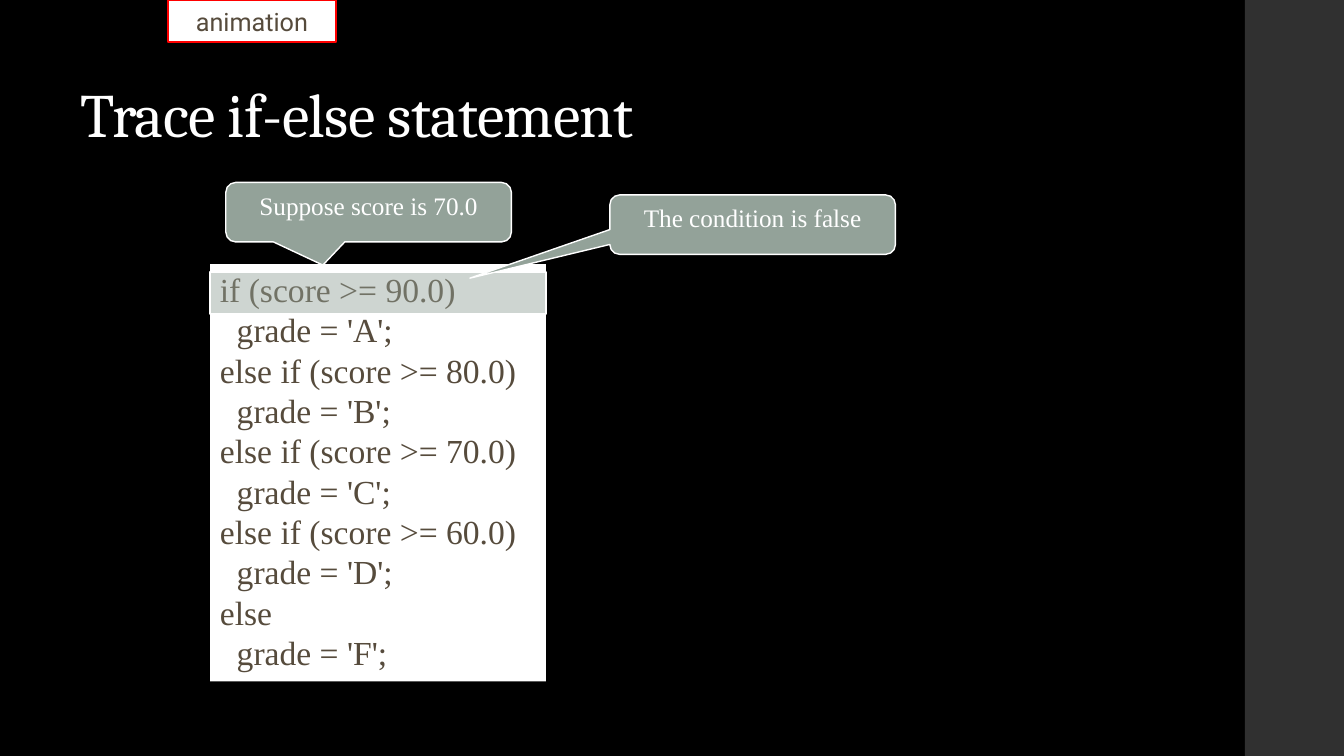
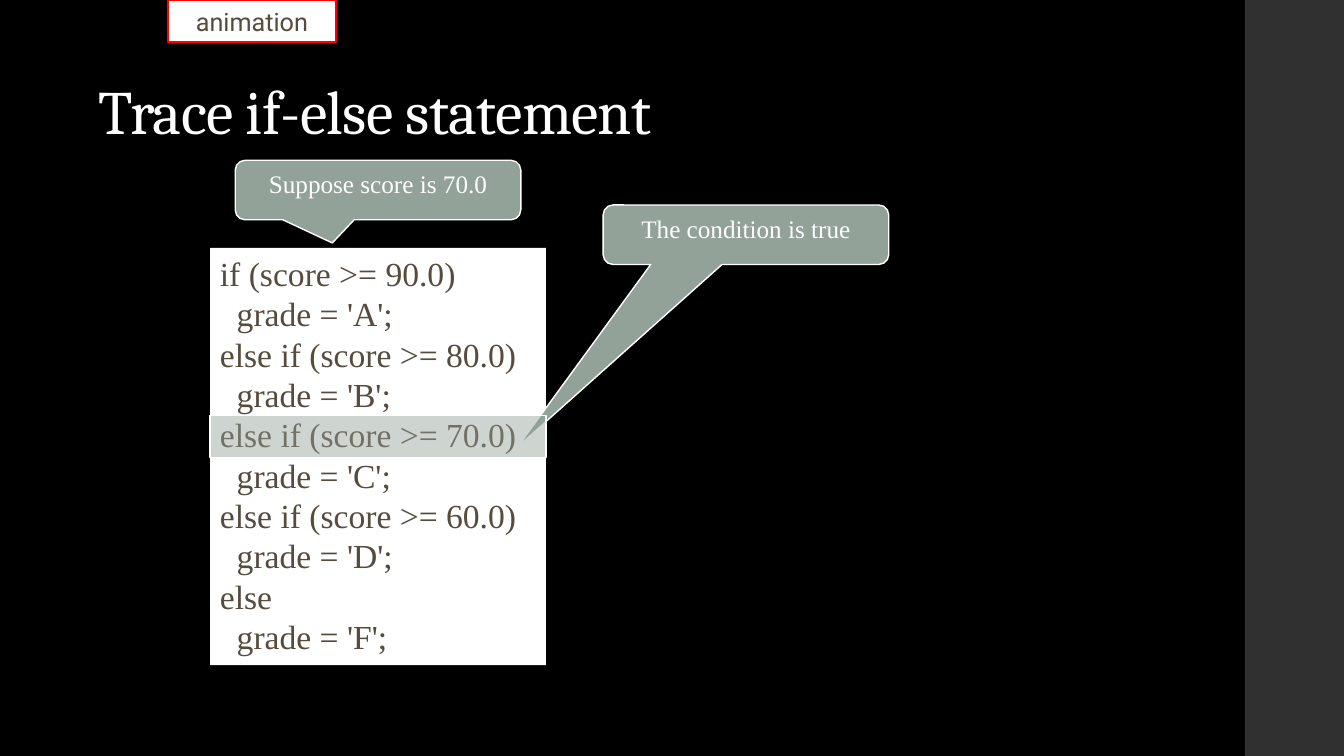
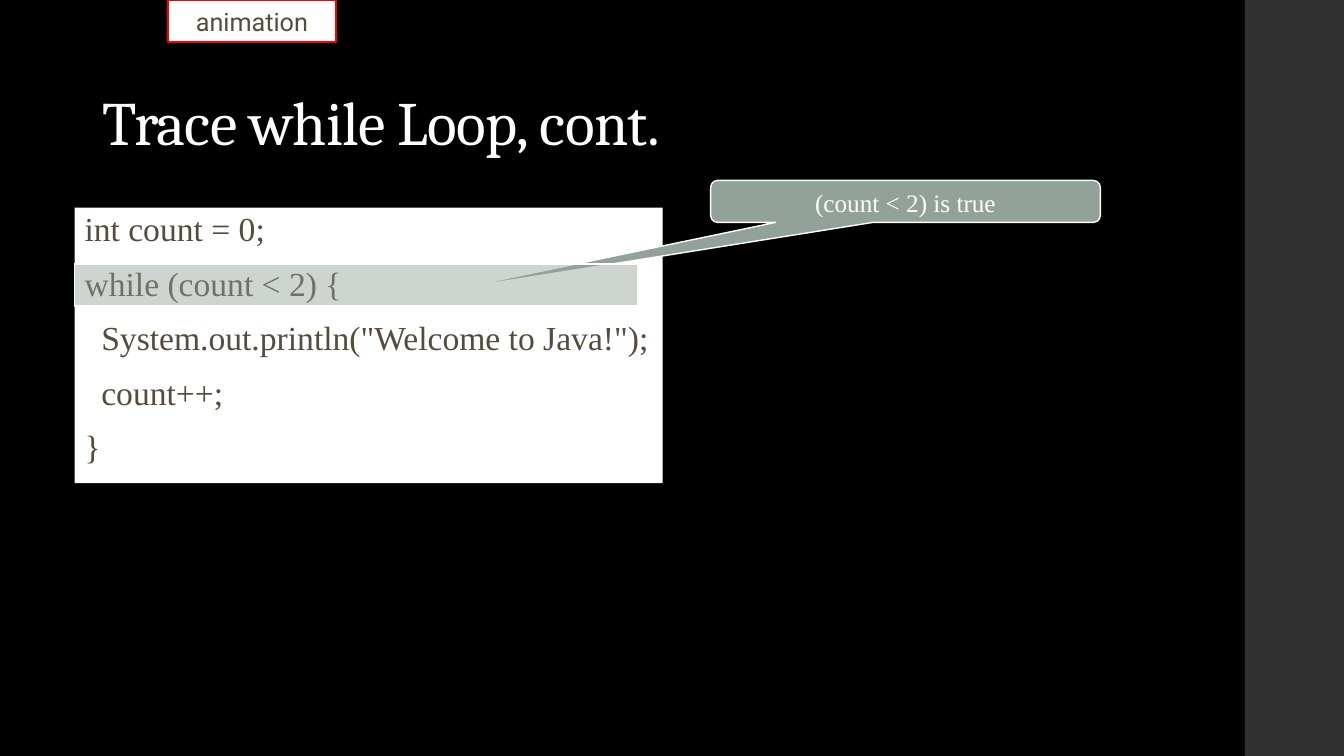
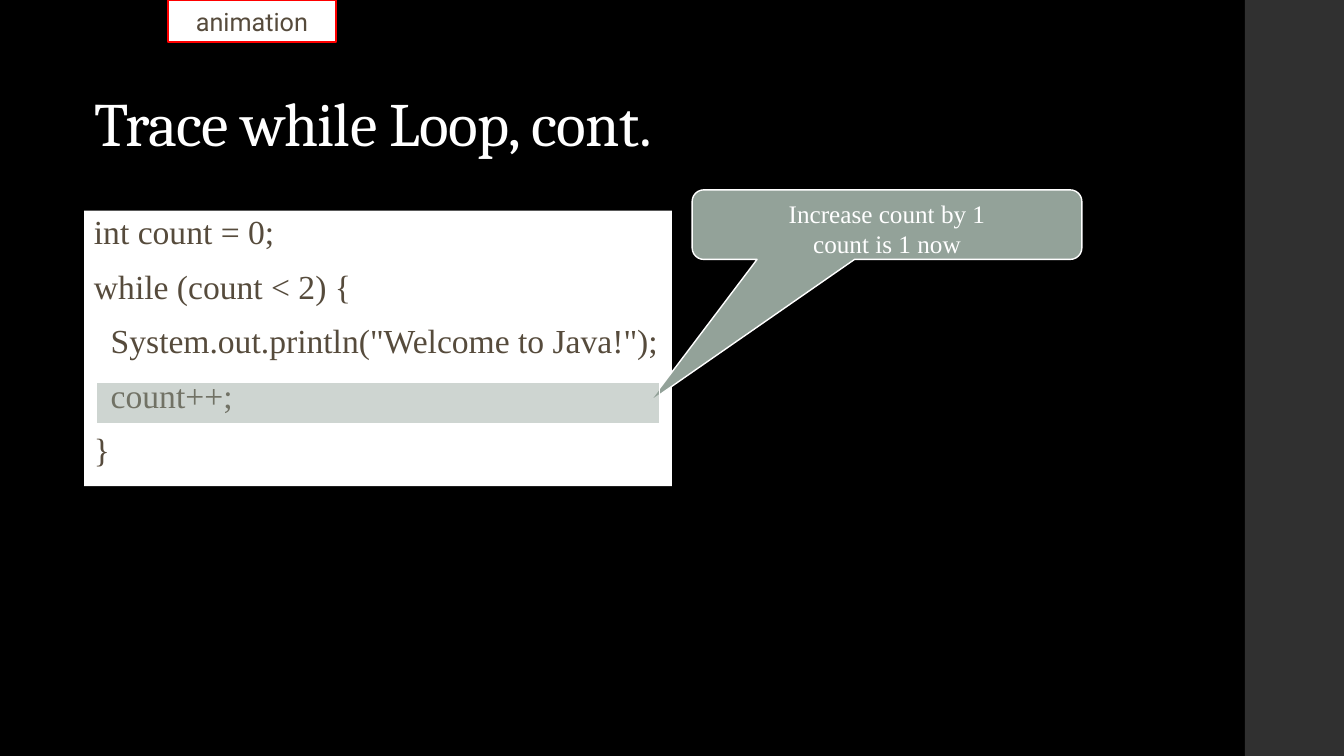
"""Four slides tracing an if-else statement and a while loop."""
from dataclasses import dataclass

from lxml.etree import SubElement
from pptx import Presentation
from pptx.dml.color import RGBColor as RGB
from pptx.enum.shapes import MSO_SHAPE as SHAPE
from pptx.enum.text import MSO_ANCHOR as ANCHOR, MSO_AUTO_SIZE as FIT, PP_ALIGN as ALIGN
from pptx.oxml.ns import qn
from pptx.util import Inches, Pt

COLUMNS, ROWS = 80, 45
CELL = Inches(1) / 6


@dataclass(frozen=True)
class TextStyle:
    """Font, size, colour and tracking of a run."""
    font: str
    size: int
    color: str
    tracking: int = 0


@dataclass(frozen=True)
class Theme:
    """Colours and type styles of the deck."""
    backdrop: str = "000000"
    band: str = "303030"
    paper: str = "FFFFFF"
    accent: str = "93A299"
    alert: str = "FF0000"
    title: TextStyle = TextStyle("Cambria", 44, "FFFFFF", -50)
    code: TextStyle = TextStyle("Times New Roman", 24, "564B3C")
    remark: TextStyle = TextStyle("Times New Roman", 18, "FFFFFF")
    tag: TextStyle = TextStyle("Roboto", 18, "564B3C")


THEME = Theme()

IF_ELSE = ["if (score >= 90.0)", "  grade = 'A';",
           "else if (score >= 80.0)", "  grade = 'B';",
           "else if (score >= 70.0)", "  grade = 'C';",
           "else if (score >= 60.0)", "  grade = 'D';",
           "else", "  grade = 'F';"]
WHILE_LOOP = ["int count = 0;", "while (count < 2) {",
              '  System.out.println("Welcome to Java!");', "  count++;", "}"]


def cells(*lengths):
    """Turn grid units into lengths."""
    return [round(length * CELL) for length in lengths]


def write(frame, lines, style, align, line_spacing=1.0, gap=0):
    """Fill a frame with one paragraph per line, indenting by leading spaces."""
    for index, line in enumerate(lines):
        paragraph = frame.add_paragraph() if index else frame.paragraphs[0]
        paragraph.alignment = align
        paragraph.line_spacing = line_spacing
        paragraph.space_before = Pt(gap if index else 0)
        statement = line.lstrip()
        depth = len(line) - len(statement)
        if depth:
            properties = paragraph._p.get_or_add_pPr()
            properties.set("marL", str(Pt(depth * style.size / 4)))
            properties.set("indent", "0")
        run = paragraph.add_run()
        run.text = statement
        run.font.name = style.font
        run.font.size = Pt(style.size)
        run.font.color.rgb = RGB.from_string(style.color)
        if style.tracking:
            run._r.get_or_add_rPr().set("spc", str(style.tracking))


def add_block(slide, kind, box, fill, line=None):
    """Add a flat preset shape on the grid, with text starting at its top."""
    block = slide.shapes.add_shape(kind, *cells(*box))
    block.shadow.inherit = False
    block.fill.solid()
    block.fill.fore_color.rgb = RGB.from_string(fill)
    if line:
        block.line.color.rgb = RGB.from_string(line)
        block.line.width = Pt(1)
    else:
        block.line.fill.background()
    block.text_frame.vertical_anchor = ANCHOR.TOP
    return block


def add_code(slide, left, top, width, height, lines, **spacing):
    """Add a white sheet of source code."""
    sheet = add_block(slide, SHAPE.RECTANGLE, (left, top, width, height), THEME.paper)
    sheet.text_frame.auto_size = FIT.SHAPE_TO_FIT_TEXT
    write(sheet.text_frame, lines, THEME.code, ALIGN.LEFT, **spacing)


def add_callout(slide, box, tip, *remarks):
    """Add a speech bubble whose tip is given relative to its centre."""
    bubble = add_block(slide, SHAPE.ROUNDED_RECTANGULAR_CALLOUT, box, THEME.accent, THEME.paper)
    bubble.adjustments[0], bubble.adjustments[1] = tip
    write(bubble.text_frame, remarks, THEME.remark, ALIGN.CENTER)


def add_highlight(slide, left, top, width):
    """Add a translucent bar over the current statement."""
    bar = add_block(slide, SHAPE.RECTANGLE, (left, top, width, 2.5), THEME.accent, THEME.paper)
    tint = bar.element.spPr.find(qn("a:solidFill")).find(qn("a:srgbClr"))
    SubElement(tint, qn("a:alpha")).set("val", "45000")


def add_tag(slide):
    """Add the animation tag at the top edge."""
    tag = add_block(slide, SHAPE.RECTANGLE, (10, 0, 10, 2.5), THEME.paper, THEME.alert)
    tag.text_frame.vertical_anchor = ANCHOR.MIDDLE
    tag.text_frame.word_wrap = False
    write(tag.text_frame, ["animation"], THEME.tag, ALIGN.CENTER)


def add_slide(deck, heading, box):
    """Add a slide with its title placed on the grid."""
    slide = deck.slides.add_slide(deck.slide_layouts.get_by_name("Title Only"))
    title = slide.shapes.title
    title.left, title.top, title.width, title.height = cells(*box)
    title.text_frame.auto_size = FIT.NONE
    title.text_frame.vertical_anchor = ANCHOR.BOTTOM
    write(title.text_frame, [heading], THEME.title, ALIGN.LEFT, line_spacing=0.9)
    return slide


def dress_master(deck, slide):
    """Give the master its backdrop and side band."""
    master = deck.slide_master
    master.background.fill.solid()
    master.background.fill.fore_color.rgb = RGB.from_string(THEME.backdrop)
    band = add_block(slide, SHAPE.RECTANGLE, (74.1, 0, COLUMNS - 74.1, ROWS), THEME.band)
    master.shapes.element.insert(2, band.element)


def add_if_slide(deck, title_at, code_top):
    """Add a slide showing the if-else statement."""
    slide = add_slide(deck, "Trace if-else statement", (*title_at, 52.5, 6))
    add_code(slide, 12.5, code_top, 20, 24.84, IF_ELSE)
    return slide


def add_while_slide(deck, title_at, code_at):
    """Add a slide showing the while loop."""
    slide = add_slide(deck, "Trace while Loop, cont.", (*title_at, 51, 5))
    add_code(slide, *code_at, 35, 16.4, WHILE_LOOP, line_spacing=0.9, gap=13)
    return slide


def main():
    """Build and save the deck."""
    deck = Presentation()
    deck.slide_width, deck.slide_height = cells(COLUMNS, ROWS)
    bubble = (17, 3.54)
    score_tip = (-0.16, 0.89)

    first_test = add_if_slide(deck, (4.2, 3.3), 15.72)
    dress_master(deck, first_test)
    add_callout(first_test, (13.44, 10.86, *bubble), score_tip, "Suppose score is 70.0")
    add_highlight(first_test, 12.5, 16.2, 20)
    add_callout(first_test, (36.3, 11.6, *bubble), (-0.99, 0.9), "The condition is false")

    third_test = add_if_slide(deck, (5.28, 3.1), 14.76)
    add_callout(third_test, (14, 9.54, *bubble), score_tip, "Suppose score is 70.0")
    add_callout(third_test, (35.9, 12.2, *bubble), (-0.8, 3.57), "The condition is true")
    add_highlight(third_test, 12.5, 24.72, 20)

    loop_test = add_while_slide(deck, (5.5, 4.75), (4.44, 12.36))
    add_callout(loop_test, (42.3, 10.74, 23.2, 2.5), (-1.15, 2.08), "(count < 2) is true")
    add_highlight(loop_test, 4.44, 15.72, 33.5)

    increment = add_while_slide(deck, (5, 4.8), (5, 12.54))
    add_callout(increment, (41.2, 11.3, 23.2, 4.14), (-0.61, 2.55),
                "Increase count by 1", "count is 1 now")
    add_highlight(increment, 5.76, 22.74, 33.5)

    for slide in deck.slides:
        add_tag(slide)
    deck.save("out.pptx")


main()
